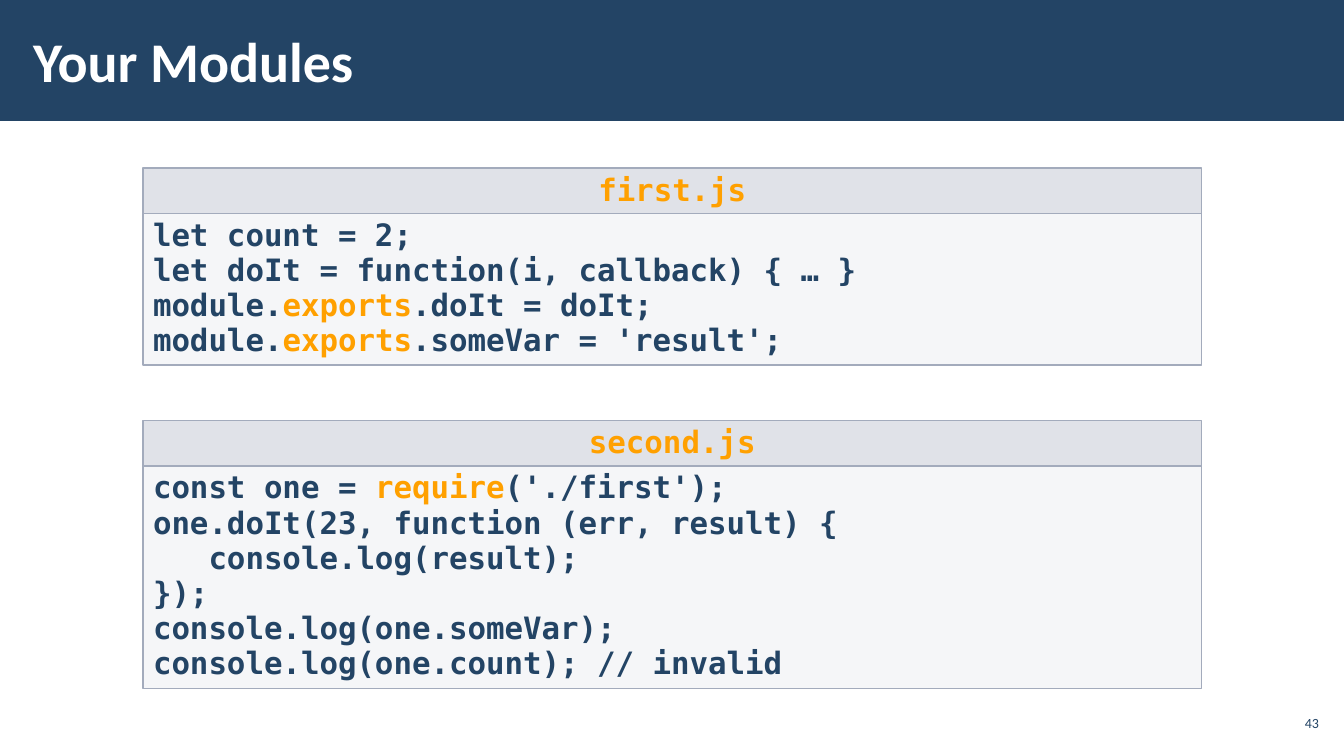
from lxml import etree
from pptx import Presentation
from pptx.dml.color import RGBColor
from pptx.enum import shapes, text
from pptx.oxml import ns
from pptx.util import Pt

COLORS = {
    "navy": "234465",
    "white": "FFFFFF",
    "orange": "FFA000",
    "panel": "C2C7D2",
    "border": "A3ABBC",
}
CODE_FONT = "DejaVu Sans Mono"
PANEL_LEFT, PANEL_WIDTH, HEADER_HEIGHT = 102.24, 756, 32.4

FIRST_CODE = """let count = 2;
let doIt = function(i, callback) { … }
module.exports.doIt = doIt;
module.exports.someVar = 'result';"""

SECOND_CODE = """const one = require('./first');
one.doIt(23, function (err, result) {
   console.log(result);
});
console.log(one.someVar);
console.log(one.count); // invalid"""


def color(name):
    return RGBColor.from_string(COLORS[name])


def set_font(font, face, size, color_name, bold=False):
    font.name = face
    font.size = Pt(size)
    font.bold = bold
    font.color.rgb = color(color_name)


def set_margins(frame, horizontal, vertical):
    frame.margin_left = frame.margin_right = Pt(horizontal)
    frame.margin_top = frame.margin_bottom = Pt(vertical)


def add_rectangle(parent, left, top, width, height, fill, opacity=100):
    """Add a rectangle without outline; opacity is a percentage."""
    rectangle = parent.shapes.add_shape(
        shapes.MSO_SHAPE.RECTANGLE, Pt(left), Pt(top), Pt(width), Pt(height))
    rectangle.shadow.inherit = False
    rectangle.line.fill.background()
    rectangle.fill.solid()
    rectangle.fill.fore_color.rgb = color(fill)
    if opacity < 100:
        tint = rectangle.fill._xPr.find(".//" + ns.qn("a:srgbClr"))
        etree.SubElement(tint, ns.qn("a:alpha"), val=str(opacity * 1000))
    return rectangle


def add_code_box(panel, top, height, opacity, lines, align, font_color, keyword=None):
    """Add a bordered box of code in which each keyword is orange."""
    box = add_rectangle(panel, PANEL_LEFT, top, PANEL_WIDTH, height, "panel", opacity)
    box.line.color.rgb = color("border")
    box.line.width = Pt(1)
    frame = box.text_frame
    frame.word_wrap = True
    frame.vertical_anchor = text.MSO_ANCHOR.TOP
    set_margins(frame, 7.2, 3.6)
    for index, line in enumerate(lines):
        paragraph = frame.add_paragraph() if index else frame.paragraphs[0]
        paragraph.alignment = align
        paragraph.line_spacing = 0.95
        set_font(paragraph.font, CODE_FONT, 22, font_color, bold=True)
        for part in line.partition(keyword) if keyword else [line]:
            if part:
                run = paragraph.add_run()
                run.text = part
                if part == keyword:
                    run.font.color.rgb = color("orange")


def add_code_panel(slide, top, body_height, filename, code, keyword):
    panel = slide.shapes.add_group_shape()
    add_code_box(panel, top + HEADER_HEIGHT, body_height, 15, code.split("\n"),
                 text.PP_ALIGN.LEFT, "navy", keyword)
    add_code_box(panel, top, HEADER_HEIGHT, 50, [filename],
                 text.PP_ALIGN.CENTER, "orange")


def add_title(slide, wording):
    banner = add_rectangle(slide, 0, 0, 960, 86.4, "navy")
    title = slide.shapes.title
    title._element.addprevious(banner._element)
    title.left, title.top, title.width, title.height = Pt(15), Pt(8), Pt(763), Pt(70)
    title.text = wording
    frame = title.text_frame
    frame.vertical_anchor = text.MSO_ANCHOR.MIDDLE
    set_margins(frame, 8.64, 2.88)
    frame.paragraphs[0].alignment = text.PP_ALIGN.LEFT
    set_font(frame.paragraphs[0].font, "Calibri", 40, "white", bold=True)


def add_page_number(slide, number):
    frame = slide.shapes.add_textbox(Pt(911), Pt(504), Pt(34), Pt(24.5)).text_frame
    frame.word_wrap = True
    frame.vertical_anchor = text.MSO_ANCHOR.MIDDLE
    set_margins(frame, 2.88, 2.88)
    frame.text = number
    frame.paragraphs[0].alignment = text.PP_ALIGN.RIGHT
    set_font(frame.paragraphs[0].font, "Calibri", 10, "navy")


def main():
    deck = Presentation()
    deck.slide_width, deck.slide_height = Pt(960), Pt(540)
    slide = deck.slides.add_slide(deck.slide_layouts.get_by_name("Title Only"))
    add_title(slide, "Your Modules")
    add_code_panel(slide, 120, 108.5, "first.js", FIRST_CODE, "exports")
    add_code_panel(slide, 300.4, 158.9, "second.js", SECOND_CODE, "require")
    add_page_number(slide, "43")
    deck.save("out.pptx")


if __name__ == "__main__":
    main()
